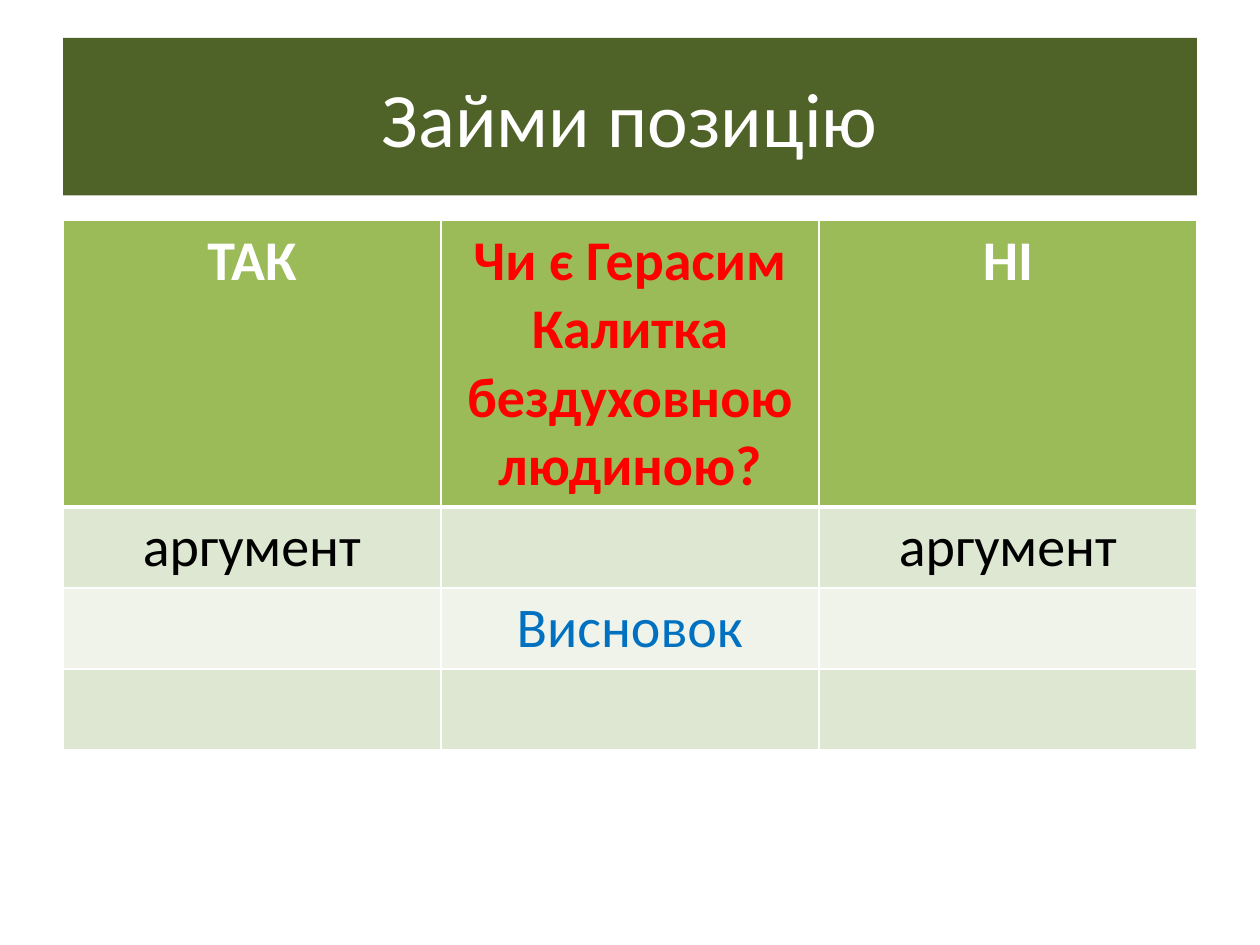
from lxml import etree
from pptx import Presentation
from pptx.dml.color import RGBColor
from pptx.enum import text
from pptx.oxml import ns
from pptx.util import Inches, Pt

FONT = "Calibri"
WHITE = RGBColor(0xFF, 0xFF, 0xFF)
BLACK = RGBColor(0x00, 0x00, 0x00)
RED = RGBColor(0xFF, 0x00, 0x00)
BLUE = RGBColor(0x00, 0x70, 0xC0)
OLIVE = RGBColor(0x4F, 0x62, 0x28)
GREEN = RGBColor(0x9B, 0xBB, 0x59)
BANDS = [RGBColor(0xEF, 0xF3, 0xEA), RGBColor(0xDE, 0xE7, 0xD1)]

ROWS = [
    [("ТАК", WHITE), ("Чи є Герасим Калитка бездуховною людиною?", RED),
     ("НІ", WHITE)],
    [("аргумент", BLACK), ("", BLACK), ("аргумент", BLACK)],
    [("", BLACK), ("Висновок", BLUE), ("", BLACK)],
    [("", BLACK)] * 3,
]
HEIGHTS = [2.27, 0.64, 0.64, 0.64]


def set_text(frame, words, size, color, bold=False):
    frame.text = words
    para = frame.paragraphs[0]
    para.alignment = text.PP_ALIGN.CENTER
    for run in para.runs:
        font = run.font
        font.name, font.size, font.bold = FONT, Pt(size), bold
        font.color.rgb = color


def add_title(slide):
    title = slide.shapes.title
    title.left, title.top = Inches(0.5), Inches(0.3)
    title.width, title.height = Inches(9), Inches(1.25)
    title.fill.solid()
    title.fill.fore_color.rgb = OLIVE
    set_text(title.text_frame, "Займи позицію", 44, WHITE)
    title.text_frame.vertical_anchor = text.MSO_ANCHOR.MIDDLE


def set_edge(cell, side, width):
    props = cell._tc.get_or_add_tcPr()
    line = etree.SubElement(props, ns.qn(f"a:ln{side}"), w=str(Pt(width)))
    fill = etree.SubElement(line, ns.qn("a:solidFill"))
    etree.SubElement(fill, ns.qn("a:srgbClr"), val=str(WHITE))


def style_cell(cell, row, words, color):
    # Edges come before the fill; a thick rule sits under the header
    widths = {"L": 1, "R": 1, "T": 3 if row == 1 else 1,
              "B": 3 if row == 0 else 1}
    for side, width in widths.items():
        set_edge(cell, side, width)
    cell.fill.solid()
    cell.fill.fore_color.rgb = BANDS[row % 2] if row else GREEN
    set_text(cell.text_frame, words, 32, color, bold=row == 0)


def add_grid(slide):
    frame = slide.shapes.add_table(
        len(ROWS), len(ROWS[0]), Inches(0.5), Inches(1.75),
        Inches(9), Inches(sum(HEIGHTS)))
    table = frame.table
    for row, (height, items) in enumerate(zip(HEIGHTS, ROWS)):
        table.rows[row].height = Inches(height)
        for col, (words, color) in enumerate(items):
            style_cell(table.cell(row, col), row, words, color)


def main():
    deck = Presentation()
    deck.slide_width, deck.slide_height = Inches(10), Inches(7.5)
    slide = deck.slides.add_slide(deck.slide_layouts[5])
    add_title(slide)
    add_grid(slide)
    deck.save("out.pptx")


if __name__ == "__main__":
    main()
